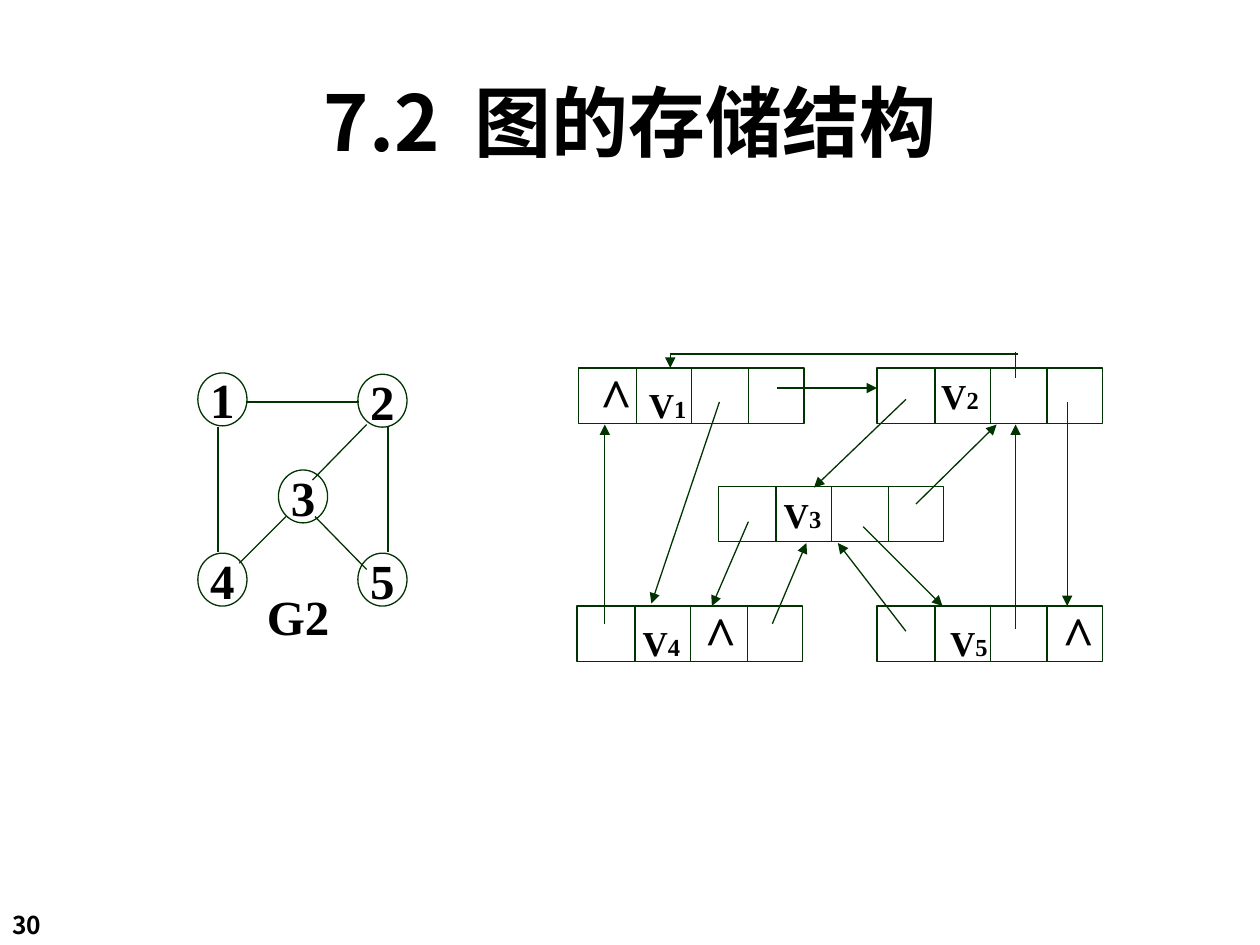
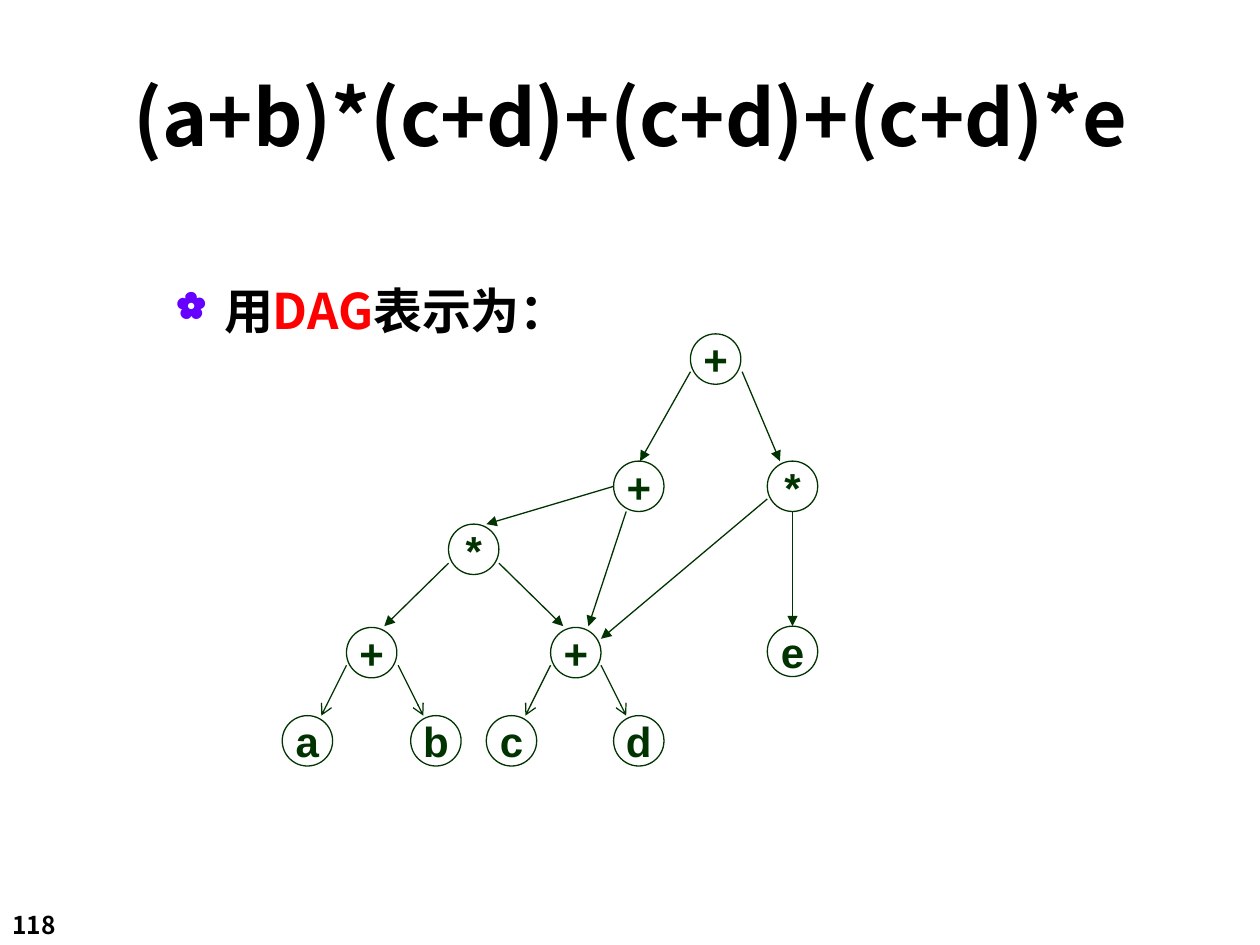
from lxml.etree import SubElement
from pptx import Presentation
from pptx.dml.color import RGBColor
from pptx.enum.shapes import MSO_CONNECTOR, MSO_SHAPE
from pptx.enum.text import MSO_ANCHOR as ANCHOR, MSO_AUTO_SIZE as AUTO_SIZE, PP_ALIGN as ALIGN
from pptx.oxml.ns import qn
from pptx.util import Pt

PX = 9144
hex_color = RGBColor.from_string
INK, GREEN, RED, VIOLET = "000000", "003300", "FF0000", "6600FF"
SANS, SERIF, LABEL = "Noto Sans CJK SC", "Times New Roman", "Arial"


def write(shape, text, size=28, font=SANS, color=INK, spacing=0):
    run = shape.text_frame.paragraphs[0].add_run()
    run.text = text
    run.font.size = Pt(size)
    run.font.bold = True
    run.font.name = font
    run.font.color.rgb = hex_color(color)
    properties = run._r.get_or_add_rPr()
    SubElement(properties, qn("a:ea"), typeface=font)
    if spacing:
        properties.set("spc", str(spacing * 100))


def link(slide, x1, y1, x2, y2, head=None):
    line = slide.shapes.add_connector(
        MSO_CONNECTOR.STRAIGHT, x1 * PX, y1 * PX, x2 * PX, y2 * PX)
    line.line.color.rgb = hex_color(GREEN)
    line.line.width = Pt(0.75)
    if head:
        SubElement(line.line._get_or_add_ln(), qn("a:tailEnd"), type=head)
    SubElement(line._element.spPr, qn("a:effectLst"))


VERTEX = {"size": 28, "font": SERIF}
LETTER = {"size": 20, "font": SERIF}
INDEX = {"size": 14, "font": SERIF}
NULL = {"size": 32, "font": SERIF}
OPERATOR = {"size": 24, "font": LABEL, "color": GREEN}

RECORD_WIDTH, RECORD_HEIGHT = 179, 44
FIELD_EDGES = (46, 90, 135)
CIRCLE = 40

vertices = [("1", 157, 296), ("5", 284, 439), ("3", 221, 373),
            ("2", 284, 297), ("4", 157, 439)]
edges = [(195, 319, 285, 319), (173, 339, 173, 438), (308, 339, 308, 438),
         (250, 410, 291, 452), (291, 337, 248, 381), (227, 410, 190, 447)]
records = [
    (459, 292, (17, 56), [("\t^", NULL), ("\tV", LETTER), ("1", INDEX)]),
    (696, 292, (51,), [("\tV", LETTER), ("2", INDEX)]),
    (458, 481, (52, 101), [("\tV", LETTER), ("4", INDEX), ("\t^", NULL)]),
    (696, 481, (58, 147), [("\tV", LETTER), ("5", INDEX), ("\t^", NULL)]),
    (570, 386, (52,), [("\tV", LETTER), ("3", INDEX)]),
]
pointers = [
    (571, 319, 517, 479), (617, 308, 696, 308), (532, 281, 532, 292),
    (719, 317, 646, 387), (847, 319, 847, 481), (727, 400, 791, 337),
    (685, 418, 748, 481), (594, 414, 565, 481), (480, 495, 480, 337),
    (613, 495, 640, 431), (806, 499, 806, 337), (719, 501, 665, 431),
]
return_path = [(806, 300, 806, 279), (808, 281, 532, 281)]

terms = [("a", 224, 568), ("b", 326, 568), ("+", 275, 498), ("c", 386, 568),
         ("d", 487, 568), ("+", 437, 498), ("*", 356, 416), ("e", 609, 497),
         ("+", 487, 366), ("*", 609, 366), ("+", 548, 265)]
operand_arrows = [(275, 528, 255, 568), (316, 528, 336, 568),
                  (437, 528, 417, 568), (477, 528, 497, 568)]
operator_arrows = [
    (356, 447, 305, 497), (396, 447, 447, 497), (487, 386, 386, 416),
    (497, 406, 467, 497), (609, 396, 477, 507), (629, 406, 629, 497),
    (548, 295, 508, 366), (589, 295, 619, 366),
]

graph_outlines = [(MSO_SHAPE.OVAL, x, y, 39, 42, (), [(name, VERTEX)])
                  for name, x, y in vertices]
graph_outlines += [(MSO_SHAPE.RECTANGLE, x, y, RECORD_WIDTH, RECORD_HEIGHT, stops, runs)
                   for x, y, stops, runs in records]
dag_outlines = [(MSO_SHAPE.FLOWCHART_CONNECTOR, x, y, CIRCLE, CIRCLE, (), [(name, OPERATOR)])
                for name, x, y in terms]

dividers = [(x + edge, y, x + edge, y + RECORD_HEIGHT)
            for x, y, _, _ in records for edge in FIELD_EDGES]
graph_links = [(None, edges + dividers + return_path), ("triangle", pointers)]
dag_links = [("arrow", operand_arrows), ("triangle", operator_arrows)]

storage_title = [("7.2", {}), (" ", {"spacing": 10}), ("图的存储结构", {})]
expression_title = [("(a+b)*(c+d)+(c+d)+(c+d)*e", {})]
pages = [
    ("30", 25, 142, storage_title, graph_outlines, graph_links),
    ("118", 42, 100, expression_title, dag_outlines, dag_links),
]

deck = Presentation()
deck.slide_width, deck.slide_height = 1000 * PX, 750 * PX

for number, top, height, heading, outlines, link_groups in pages:
    slide = deck.slides.add_slide(deck.slide_layouts[5])
    title = slide.shapes.title
    title.left, title.top, title.width, title.height = 42 * PX, top * PX, 917 * PX, height * PX
    title.text_frame.vertical_anchor = ANCHOR.MIDDLE
    title.text_frame.auto_size = AUTO_SIZE.NONE
    title.text_frame.paragraphs[0].alignment = ALIGN.CENTER
    for text, style in heading:
        write(title, text, size=44, **style)

    page_number = slide.shapes.add_textbox(0, 717 * PX, 83 * PX, 34 * PX)
    page_number.text_frame.word_wrap = True
    write(page_number, number, size=14)

    for kind, x, y, width, height, stops, runs in outlines:
        outline = slide.shapes.add_shape(kind, x * PX, y * PX, width * PX, height * PX)
        outline.shadow.inherit = False
        outline.fill.background()
        outline.line.color.rgb = hex_color(GREEN)
        outline.line.width = Pt(0.75)
        frame = outline.text_frame
        frame.vertical_anchor = ANCHOR.MIDDLE
        frame.word_wrap = bool(stops)
        frame.margin_left = frame.margin_right = 0
        paragraph = frame.paragraphs[0]
        paragraph.alignment = ALIGN.LEFT if stops else ALIGN.CENTER
        if stops:
            tabs = SubElement(paragraph._p.get_or_add_pPr(), qn("a:tabLst"))
            for stop in stops:
                SubElement(tabs, qn("a:tab"), pos=str(stop * PX), algn="l")
        for text, style in runs:
            write(outline, text, **style)

    for head, lines in link_groups:
        for ends in lines:
            link(slide, *ends, head=head)

graph_slide, dag_slide = deck.slides

graph_name = graph_slide.shapes.add_textbox(202 * PX, 460 * PX, 69 * PX, 57 * PX)
graph_name.text_frame.word_wrap = True
graph_name.text_frame.margin_left = graph_name.text_frame.margin_right = 0
graph_name.text_frame.vertical_anchor = ANCHOR.MIDDLE
graph_name.text_frame.paragraphs[0].alignment = ALIGN.CENTER
write(graph_name, "G2", **VERTEX)

lead = dag_slide.shapes.add_textbox(130 * PX, 218 * PX, 354 * PX, 55 * PX)
lead.text_frame.word_wrap = True
bullet = lead.text_frame.paragraphs[0]._p.get_or_add_pPr()
bullet.set("marL", str(38 * PX))
bullet.set("indent", str(-38 * PX))
SubElement(SubElement(bullet, qn("a:buClr")), qn("a:srgbClr"), val=VIOLET)
SubElement(bullet, qn("a:buSzPct"), val="75000")
SubElement(bullet, qn("a:buChar"), char="✿")
for text, color in [("用", INK), ("DAG", RED), ("表示为：", INK)]:
    write(lead, text, color=color)

deck.save("out.pptx")
